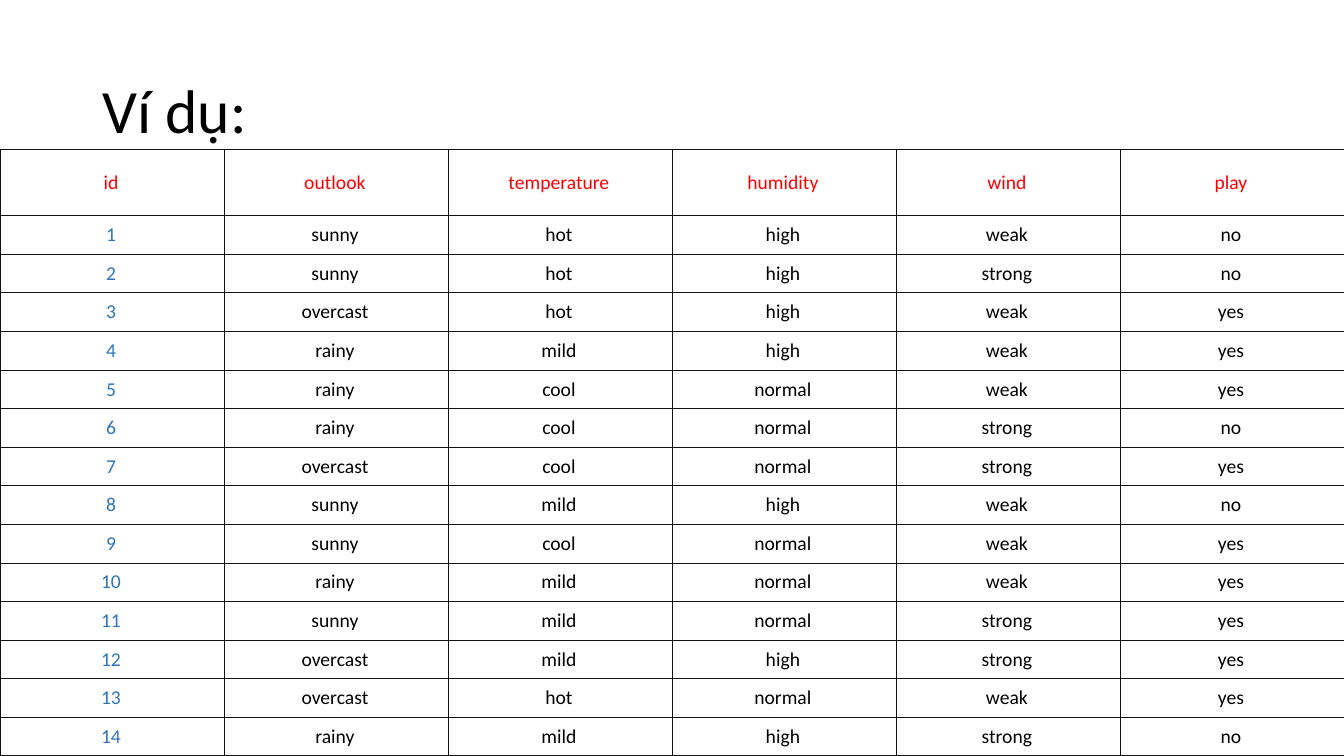
from dataclasses import astuple, dataclass

from lxml import etree
from pptx import Presentation
from pptx.dml.color import RGBColor
from pptx.enum.text import MSO_ANCHOR, MSO_AUTO_SIZE, PP_ALIGN
from pptx.oxml.ns import qn
from pptx.slide import Slide
from pptx.table import _Cell
from pptx.text.text import TextFrame
from pptx.util import Inches, Pt

MIDDLE = MSO_ANCHOR.MIDDLE
NO_AUTOFIT = MSO_AUTO_SIZE.NONE
LEFT, CENTER = PP_ALIGN.LEFT, PP_ALIGN.CENTER

SLIDE_WIDTH, SLIDE_HEIGHT = Inches(13.333), Inches(7.5)
GRID_COLUMNS, GRID_ROWS = 160, 90
FONT = "Calibri"
BLACK, WHITE, RED, BLUE, BORDER = "000000", "FFFFFF", "FF0000", "2E75B6", "111111"

TITLE_LEFT, TITLE_TOP, TITLE_WIDTH, TITLE_HEIGHT = 11, 4.8, 138, 17.4
TABLE_TOP, HEADER_HEIGHT = 17.76, 7.92


@dataclass
class Day:
    id: int
    outlook: str
    temperature: str
    humidity: str
    wind: str
    play: str


HEADINGS = ("id", "outlook", "temperature", "humidity", "wind", "play")
DAYS = [
    Day(1, "sunny", "hot", "high", "weak", "no"),
    Day(2, "sunny", "hot", "high", "strong", "no"),
    Day(3, "overcast", "hot", "high", "weak", "yes"),
    Day(4, "rainy", "mild", "high", "weak", "yes"),
    Day(5, "rainy", "cool", "normal", "weak", "yes"),
    Day(6, "rainy", "cool", "normal", "strong", "no"),
    Day(7, "overcast", "cool", "normal", "strong", "yes"),
    Day(8, "sunny", "mild", "high", "weak", "no"),
    Day(9, "sunny", "cool", "normal", "weak", "yes"),
    Day(10, "rainy", "mild", "normal", "weak", "yes"),
    Day(11, "sunny", "mild", "normal", "strong", "yes"),
    Day(12, "overcast", "mild", "high", "strong", "yes"),
    Day(13, "overcast", "hot", "normal", "weak", "yes"),
    Day(14, "rainy", "mild", "high", "strong", "no"),
]


def columns(count: float) -> int:
    return round(SLIDE_WIDTH * count / GRID_COLUMNS)


def rows(count: float) -> int:
    return round(SLIDE_HEIGHT * count / GRID_ROWS)


def color(value: str) -> RGBColor:
    return RGBColor.from_string(value)


def write_text(frame: TextFrame, text: str, *, size: float, fill: str,
               align: PP_ALIGN, spacing: float = 1.0) -> None:
    paragraph = frame.paragraphs[0]
    paragraph.alignment = align
    paragraph.line_spacing = spacing
    run = paragraph.add_run()
    run.text = text
    run.font.name = FONT
    run.font.size = Pt(size)
    run.font.bold = False
    run.font.color.rgb = color(fill)


def add_borders(cell: _Cell) -> None:
    properties = cell._tc.get_or_add_tcPr()
    for side in ("a:lnL", "a:lnR", "a:lnT", "a:lnB"):
        line = etree.SubElement(properties, qn(side), w=str(Pt(0.6)))
        solid = etree.SubElement(line, qn("a:solidFill"))
        etree.SubElement(solid, qn("a:srgbClr"), val=BORDER)


def draw_cell(cell: _Cell, text: str, fill: str) -> None:
    cell.margin_left, cell.margin_right = Inches(0.06), Inches(0.08)
    cell.margin_top = cell.margin_bottom = Inches(0.04)
    cell.vertical_anchor = MIDDLE
    add_borders(cell)
    cell.fill.solid()
    cell.fill.fore_color.rgb = color(WHITE)
    write_text(cell.text_frame, text, size=14, fill=fill, align=CENTER)


def draw_title(slide: Slide, text: str) -> None:
    title = slide.shapes.title
    title.left, title.top = columns(TITLE_LEFT), rows(TITLE_TOP)
    title.width, title.height = columns(TITLE_WIDTH), rows(TITLE_HEIGHT)
    frame = title.text_frame
    frame.auto_size = NO_AUTOFIT
    frame.word_wrap = True
    frame.vertical_anchor = MIDDLE
    write_text(frame, text, size=44, fill=BLACK, align=LEFT, spacing=0.9)


def draw_table(slide: Slide, days: list[Day]) -> None:
    records = [HEADINGS, *map(astuple, days)]
    table_height = GRID_ROWS - TABLE_TOP
    table = slide.shapes.add_table(
        len(records), len(HEADINGS), 0, rows(TABLE_TOP), SLIDE_WIDTH, rows(table_height)
    ).table
    table.first_row = table.horz_banding = False
    for column in table.columns:
        column.width = columns(GRID_COLUMNS / len(HEADINGS))
    day_height = (table_height - HEADER_HEIGHT) / len(days)
    for row_index, record in enumerate(records):
        table.rows[row_index].height = rows(day_height if row_index else HEADER_HEIGHT)
        for column_index, value in enumerate(record):
            fill = RED if row_index == 0 else BLUE if column_index == 0 else BLACK
            draw_cell(table.cell(row_index, column_index), str(value), fill)


def main() -> None:
    presentation = Presentation()
    presentation.slide_width, presentation.slide_height = SLIDE_WIDTH, SLIDE_HEIGHT
    slide = presentation.slides.add_slide(presentation.slide_layouts.get_by_name("Title Only"))
    slide.background.fill.solid()
    slide.background.fill.fore_color.rgb = color(WHITE)
    draw_title(slide, "Ví dụ:")
    draw_table(slide, DAYS)
    presentation.save("out.pptx")


if __name__ == "__main__":
    main()
